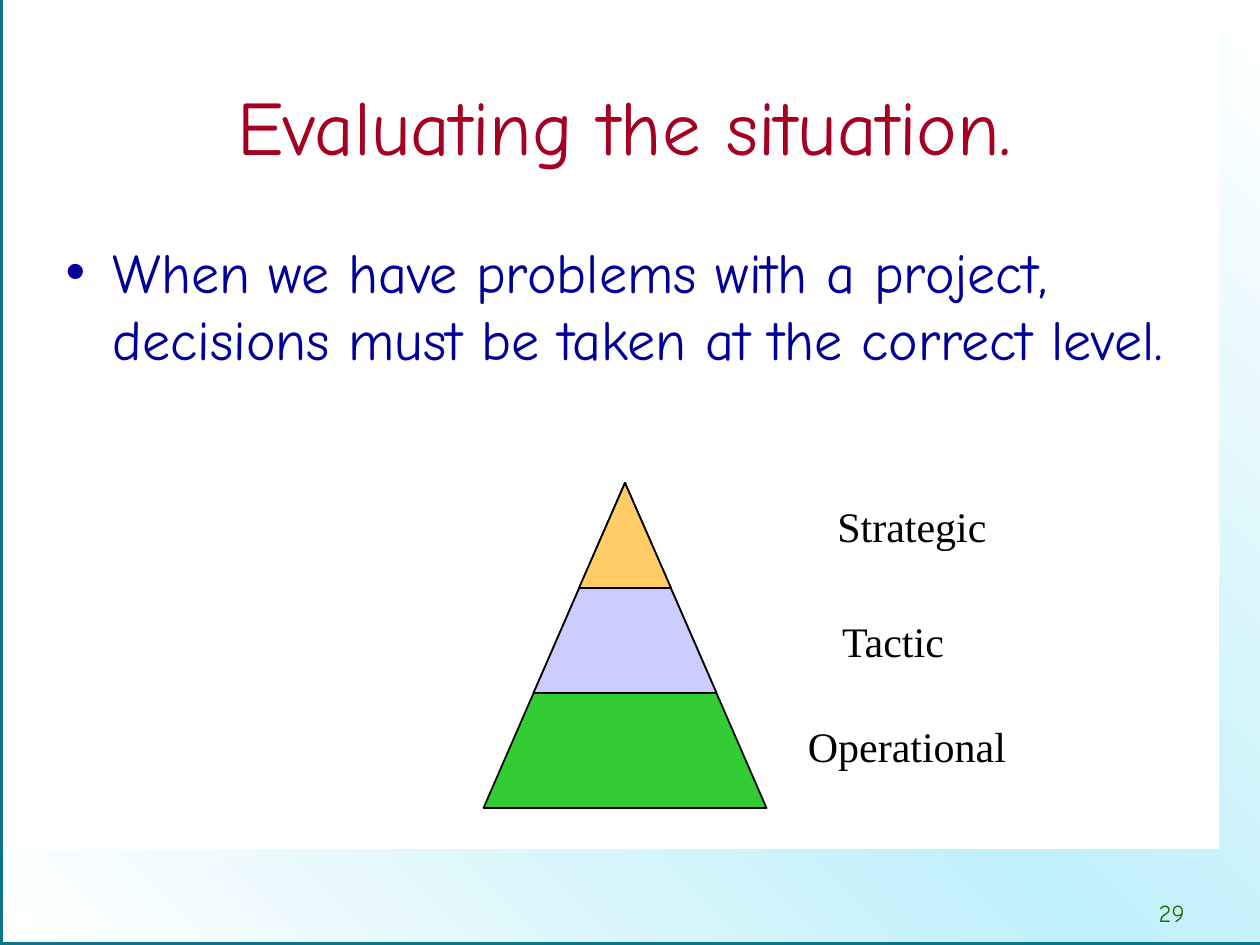
"""Builds the slide about decision levels, with a three-tier pyramid."""
from copy import deepcopy

from pptx import Presentation
from pptx.dml.color import RGBColor
from pptx.enum.shapes import MSO_SHAPE
from pptx.enum.text import MSO_ANCHOR, MSO_AUTO_SIZE, PP_ALIGN
from pptx.oxml import parse_xml
from pptx.oxml.ns import nsdecls, qn
from pptx.util import Pt

SCALE = 914400 / 126
WIDTH, HEIGHT = 1260, 945
WHITE = RGBColor(0xFF, 0xFF, 0xFF)
BLACK = RGBColor(0x00, 0x00, 0x00)
SKY = RGBColor(0xC0, 0xF0, 0xFA)
TEAL = RGBColor(0x0B, 0x74, 0x89)
CRIMSON = RGBColor(0xA5, 0x00, 0x21)
NAVY = RGBColor(0x00, 0x00, 0x99)
OLIVE = RGBColor(0x33, 0x66, 0x00)
GREEN = RGBColor(0x33, 0xCC, 0x33)
LILAC = RGBColor(0xCC, 0xCC, 0xFF)
ORANGE = RGBColor(0xFF, 0xCC, 0x66)
HAND, SERIF = "Comic Neue", "Times New Roman"

TITLE = "Evaluating the situation."
BODY = "When we have problems with a project, decisions must be taken at the correct level."
PAGE_NUMBER = "29"
APEX = (625, 483)
TIERS = [
    ("Operational", GREEN, 283, 325, (790, 714, 234, 63)),
    ("Tactic", LILAC, 183, 210, (808, 609, 170, 63)),
    ("Strategic", ORANGE, 92, 105, (825, 494, 174, 63)),
]
BORDER = [(1220, 850), (1220, 0), (WIDTH, 0), (WIDTH, HEIGHT), (0, HEIGHT), (0, 850)]
EDGE = [(0, 0), (0, HEIGHT), (WIDTH, HEIGHT)]


def px(*lengths):
    return [round(length * SCALE) for length in lengths]


def write(shape, text, font, size, color, align, anchor=MSO_ANCHOR.TOP, wrap=True):
    frame = shape.text_frame
    frame.auto_size = MSO_AUTO_SIZE.NONE
    frame.word_wrap = wrap
    frame.vertical_anchor = anchor
    para = frame.paragraphs[0]
    para.text = text
    para.alignment = align
    para.space_before = Pt(0)
    para.font.name = font
    para.font.size = Pt(size)
    para.font.color.rgb = color


def place(shape, *rect):
    shape.left, shape.top, shape.width, shape.height = px(*rect)


def outline(page, points, closed):
    builder = page.shapes.build_freeform(*points[0], scale=SCALE)
    builder.add_line_segments(points[1:], close=closed)
    shape = builder.convert_to_shape()
    shape.shadow.inherit = False
    return shape


def add_backdrop(page):
    border = outline(page, BORDER, True)
    border.line.fill.background()
    border.fill.gradient()
    border.fill.gradient_angle = 45
    stops = border._element.spPr.find(qn("a:gradFill")).find(qn("a:gsLst"))
    stops.append(deepcopy(stops[0]))
    for stop, position, color in zip(border.fill.gradient_stops, (0, 0.5, 1), (WHITE, SKY, WHITE)):
        stop.position = position
        stop.color.rgb = color

    edge = outline(page, EDGE, False)
    edge.fill.background()
    edge.line.color.rgb = TEAL
    edge.line.width = Pt(3)
    for index, shape in enumerate((border, edge)):
        page.shapes._spTree.insert(2 + index, shape._element)


def add_texts(page):
    title, body = page.placeholders
    place(title, 53, 42, 1144, 166)
    write(title, TITLE, HAND, 44, CRIMSON, PP_ALIGN.CENTER, MSO_ANCHOR.MIDDLE)

    place(body, 53, 231, 1144, 598)
    properties = body.text_frame.paragraphs[0]._p.get_or_add_pPr()
    indent, = px(47)
    properties.set("marL", str(indent))
    properties.set("indent", str(-indent))
    properties.append(parse_xml(f'<a:buChar {nsdecls("a")} char="•"/>'))
    write(body, BODY, HAND, 32, NAVY, PP_ALIGN.LEFT)

    number = page.shapes.add_textbox(*px(1113, 892, 84, 32))
    write(number, PAGE_NUMBER, HAND, 14, OLIVE, PP_ALIGN.RIGHT)


def add_pyramid(page):
    center, top = APEX
    for name, color, width, height, label_rect in TIERS:
        tier = page.shapes.add_shape(
            MSO_SHAPE.ISOSCELES_TRIANGLE, *px(center - width / 2, top, width, height))
        tier.shadow.inherit = False
        tier.fill.solid()
        tier.fill.fore_color.rgb = color
        tier.line.color.rgb = BLACK
        tier.line.width = Pt(1)
        label = page.shapes.add_textbox(*px(*label_rect))
        write(label, name, SERIF, 24, BLACK, PP_ALIGN.CENTER, MSO_ANCHOR.MIDDLE, wrap=False)


def main():
    deck = Presentation()
    deck.slide_width, deck.slide_height = px(WIDTH, HEIGHT)
    page = deck.slides.add_slide(deck.slide_layouts[1])
    add_backdrop(page)
    add_texts(page)
    add_pyramid(page)
    deck.save("out.pptx")


if __name__ == "__main__":
    main()
